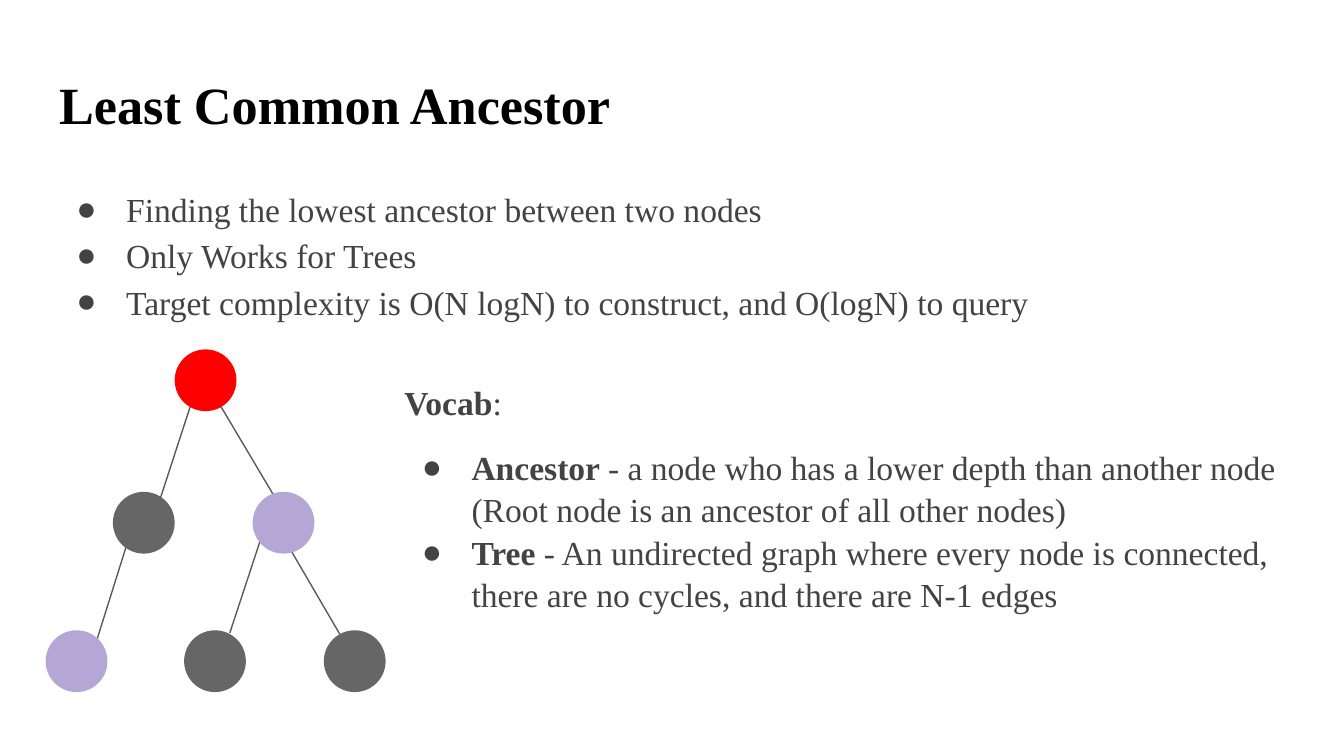
"""Build a slide that introduces the least common ancestor of two tree nodes."""
from dataclasses import dataclass

from lxml.etree import SubElement
from pptx import Presentation
from pptx.dml.color import RGBColor
from pptx.enum.shapes import MSO_CONNECTOR, MSO_SHAPE
from pptx.enum.text import MSO_ANCHOR, MSO_AUTO_SIZE, PP_ALIGN
from pptx.oxml.ns import qn
from pptx.util import Inches, Pt


@dataclass(frozen=True)
class Theme:
    """Colours, type and line sizes of the slide."""
    font: str = "Times New Roman"
    title: str = "000000"
    text: str = "434343"
    edge: str = "595959"
    root: str = "FF0000"
    plain: str = "666666"
    marked: str = "B4A7D6"
    title_size: int = 28
    text_size: int = 18
    edge_width: float = 0.75


THEME = Theme()
NODE_SIZE = 0.46
NODES = [
    (1.3, 2.6, THEME.root),
    (0.84, 3.66, THEME.plain),
    (1.88, 3.66, THEME.marked),
    (0.34, 4.69, THEME.marked),
    (1.37, 4.69, THEME.plain),
    (2.41, 4.69, THEME.plain),
]
EDGES = [
    (2.08, 3.95, 2.64, 4.91),
    (1.99, 3.86, 1.71, 4.71),
    (0.96, 4, 0.69, 4.86),
    (1.57, 2.9, 2.14, 3.86),
    (1.44, 2.95, 1.16, 3.81),
]
POINTS = [
    "Finding the lowest ancestor between two nodes",
    "Only Works for Trees",
    "Target complexity is O(N logN) to construct, and O(logN) to query",
]
TERMS = [
    ("Ancestor ", "- a node who has a lower depth than another node "
                  "(Root node is an ancestor of all other nodes)"),
    ("Tree ", "- An undirected graph where every node is connected, "
              "there are no cycles, and there are N-1 edges"),
]


def set_frame(s, x, y, w, h):
    """Place a text shape and return its wrapped, top-anchored frame."""
    s.left, s.top, s.width, s.height = map(Inches, (x, y, w, h))
    tf = s.text_frame
    tf.word_wrap = True
    tf.auto_size = MSO_AUTO_SIZE.NONE
    tf.vertical_anchor = MSO_ANCHOR.TOP
    tf.margin_left = tf.margin_right = Inches(0.1)
    tf.margin_top = tf.margin_bottom = Inches(0.1)
    return tf


def add_bullet(p):
    """Give a paragraph a hanging round bullet."""
    pPr = p._p.get_or_add_pPr()
    pPr.set("marL", str(Inches(0.5)))
    pPr.set("indent", str(Inches(-0.37)))
    color = SubElement(pPr, qn("a:buClr"))
    SubElement(color, qn("a:srgbClr"), val=THEME.text)
    SubElement(pPr, qn("a:buFont"), typeface=THEME.font)
    SubElement(pPr, qn("a:buChar"), char="●")


def add_text(tf, text, *, lead="", size=THEME.text_size, color=THEME.text,
             bold=False, spacing=1.0, before=0, bullet=False):
    """Write one paragraph, with an optional bold lead, into a frame."""
    p = tf.paragraphs[0]
    if p.runs:
        p = tf.add_paragraph()
    p.alignment = PP_ALIGN.LEFT
    p.line_spacing = spacing
    p.space_before = Pt(before)
    if bullet:
        add_bullet(p)
    for part, is_bold in ((lead, True), (text, bold)):
        if part:
            r = p.add_run()
            r.text = part
            r.font.name = THEME.font
            r.font.size = Pt(size)
            r.font.bold = is_bold
            r.font.color.rgb = RGBColor.from_string(color)


def add_text_box(slide, x, y, w, h):
    """Add a text box and return its frame."""
    s = slide.shapes.add_textbox(0, 0, 0, 0)
    return set_frame(s, x, y, w, h)


def add_edge(slide, x1, y1, x2, y2):
    """Draw a thin line between two tree nodes."""
    s = slide.shapes.add_connector(
        MSO_CONNECTOR.STRAIGHT, *map(Inches, (x1, y1, x2, y2)))
    s.line.color.rgb = RGBColor.from_string(THEME.edge)
    s.line.width = Pt(THEME.edge_width)
    SubElement(s._element.spPr, qn("a:effectLst"))


def add_node(slide, x, y, color):
    """Draw a filled circle for a tree node."""
    s = slide.shapes.add_shape(
        MSO_SHAPE.OVAL, *map(Inches, (x, y, NODE_SIZE, NODE_SIZE)))
    s.shadow.inherit = False
    s.fill.solid()
    s.fill.fore_color.rgb = RGBColor.from_string(color)
    s.line.fill.background()


def main():
    """Build and save the slide."""
    prs = Presentation()
    prs.slide_width, prs.slide_height = Inches(10), Inches(10 * 9 / 16)
    slide = prs.slides.add_slide(prs.slide_layouts[5])

    for edge in EDGES:
        add_edge(slide, *edge)

    tf = set_frame(slide.shapes.title, 0.34, 0.49, 9.32, 0.63)
    add_text(tf, "Least Common Ancestor", size=THEME.title_size,
             color=THEME.title, bold=True, spacing=0.9)

    tf = add_text_box(slide, 0.34, 1.26, 9.32, 3.74)
    for point in POINTS:
        add_text(tf, point, spacing=1.15, bullet=True)

    for node in NODES:
        add_node(slide, *node)

    tf = add_text_box(slide, 2.91, 2.73, 6.75, 1.96)
    add_text(tf, ":", lead="Vocab", spacing=1.05)
    for i, (term, meaning) in enumerate(TERMS):
        add_text(tf, meaning, lead=term, spacing=1.05,
                 before=0 if i else 12, bullet=True)

    prs.save("out.pptx")


if __name__ == "__main__":
    main()
